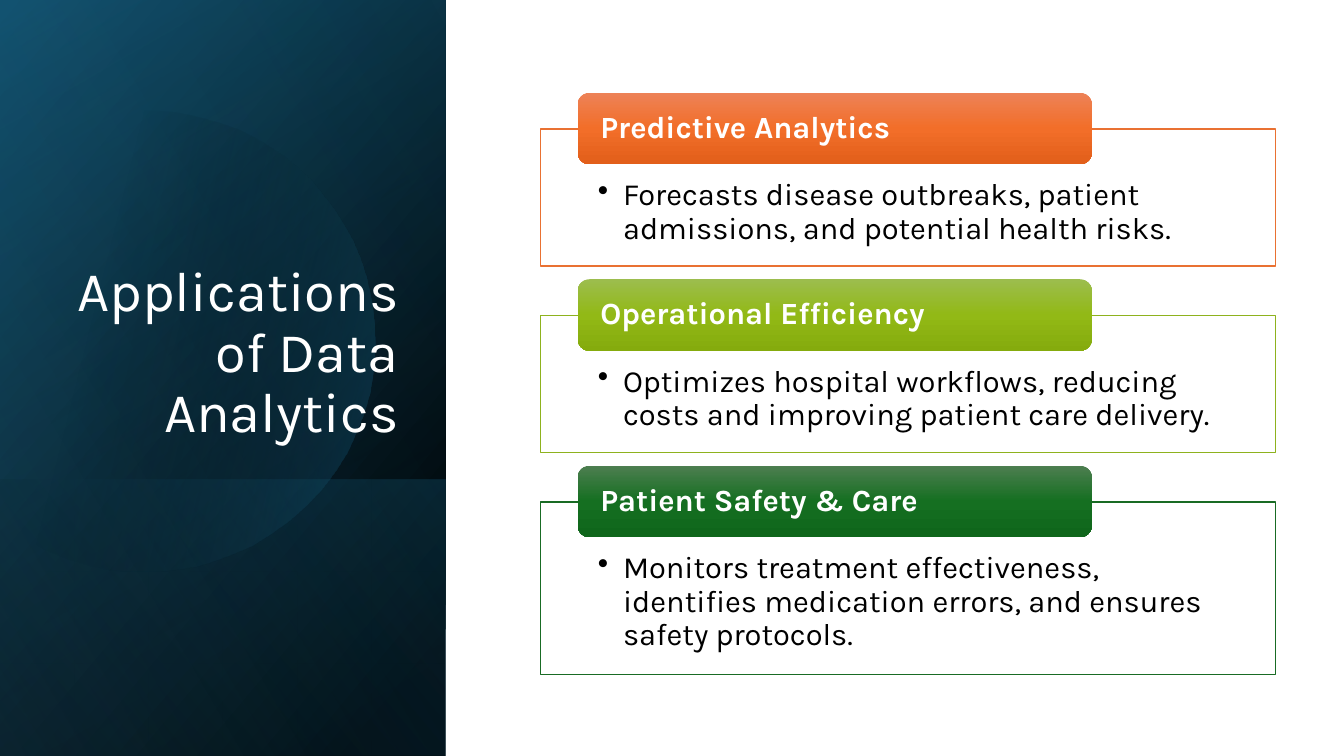
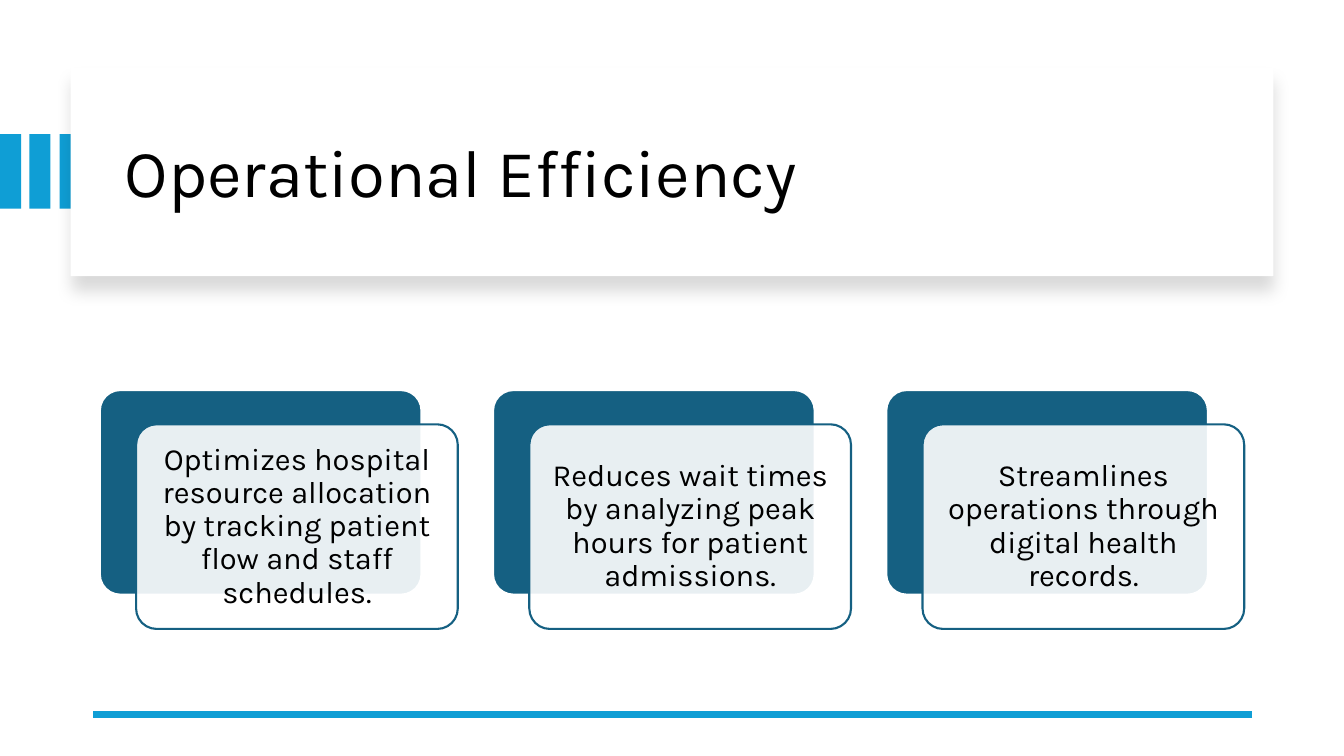
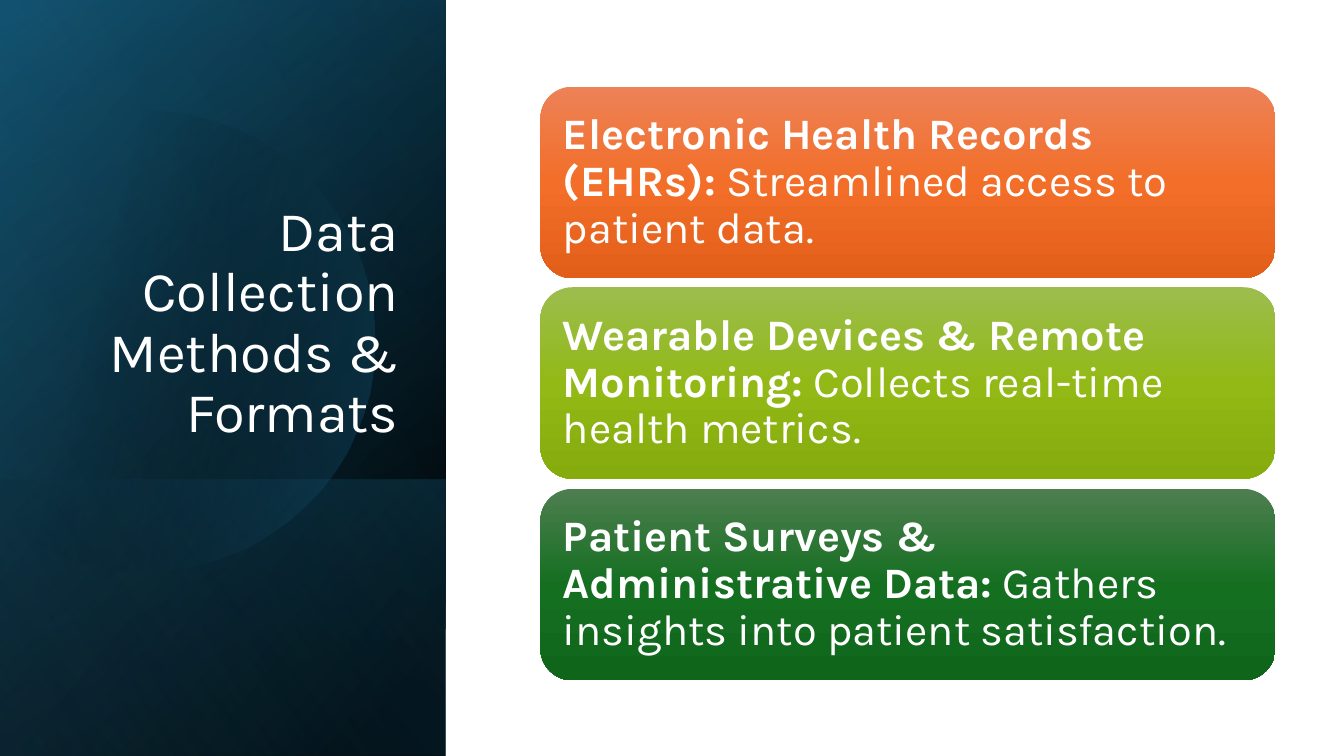
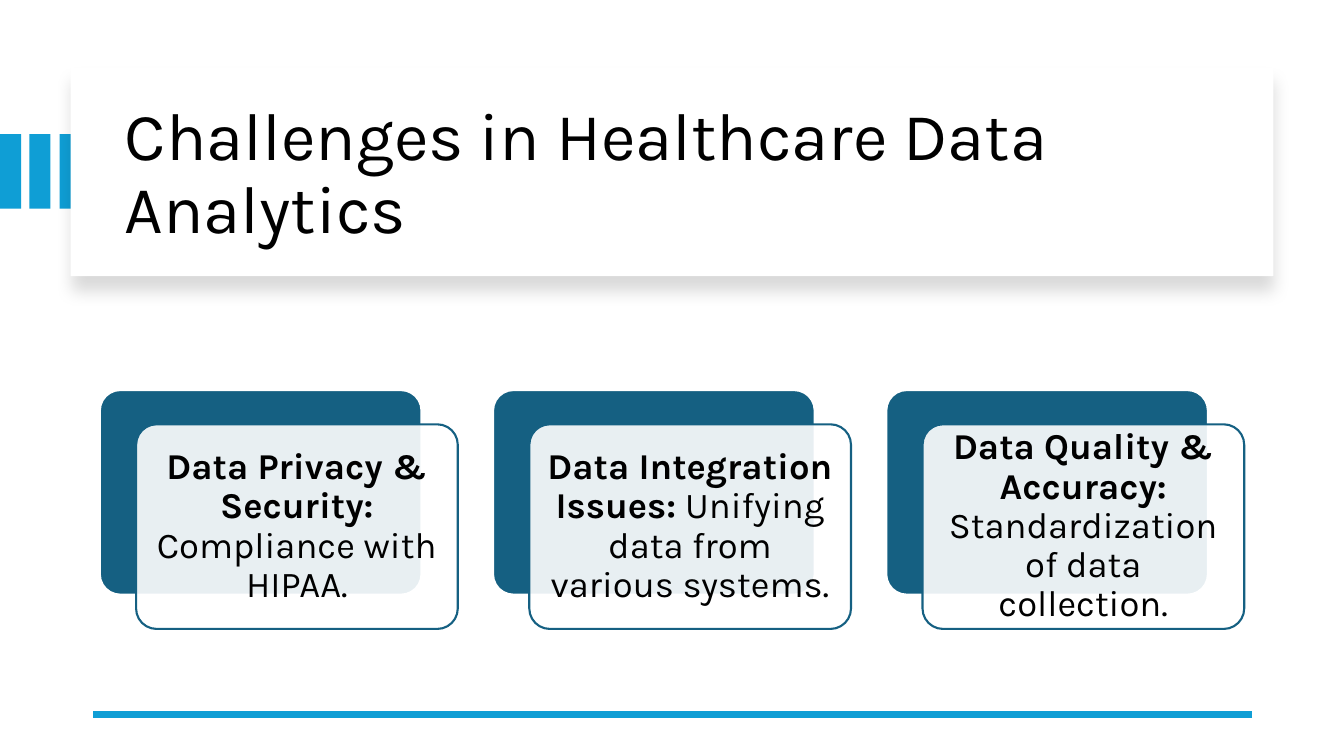
from dataclasses import dataclass

from pptx import Presentation
from pptx import util as u
from pptx.dml.color import RGBColor
from pptx.enum import shapes, text
from pptx.oxml import parse_xml
from pptx.oxml.ns import nsdecls, qn

EMU_PER_PX = 9144


@dataclass(frozen=True)
class Theme:
    """Colours, font and type sizes shared by all slides."""
    font: str = "Karla"
    white: str = "FFFFFF"
    black: str = "000000"
    navy: str = "104862"
    blue: str = "156082"
    sky: str = "46B1E1"
    accent: str = "0F9ED5"
    outlines: tuple = ("E97132", "8EB21E", "196B24")
    gradients: tuple = (
        ("ED8257", "F26E29", "E25F1A"),
        ("9CBD4E", "92B916", "85AB0D"),
        ("4D7E50", "156F21", "0F661B"),
    )
    side_title: int = 40
    wide_title: int = 48
    large: int = 31
    medium: int = 26
    body: int = 22


THEME = Theme()


def px(length):
    """Turn a length in px into EMU."""
    return u.Emu(length * EMU_PER_PX)


def rgb(colour):
    """Turn a hex string into a colour."""
    return RGBColor.from_string(colour)


def write_text(shape, content, *, size, colour, lead="", bold=False, align=text.PP_ALIGN.LEFT,
               anchor=text.MSO_ANCHOR.MIDDLE, insets=(10, 5, 10, 5), bullet=False):
    """Fill a shape with one paragraph, with an optional bold lead."""
    frame = shape.text_frame
    frame.word_wrap = True
    frame.vertical_anchor = anchor
    frame.margin_left, frame.margin_top, frame.margin_right, frame.margin_bottom = map(px, insets)
    paragraph = frame.paragraphs[0]
    paragraph.alignment = align
    paragraph.line_spacing = 0.9
    for words, is_bold in ((lead, True), (content, bold)):
        if words:
            run = paragraph.add_run()
            run.text = words
            run.font.name = THEME.font
            run.font.size = u.Pt(size)
            run.font.bold = is_bold
            run.font.color.rgb = rgb(colour)
    if bullet:
        properties = paragraph._p.get_or_add_pPr()
        properties.set("marL", str(px(25)))
        properties.set("indent", str(px(-25)))
        properties.append(parse_xml(f'<a:buChar {nsdecls("a")} char="•"/>'))


def set_gradient(shape, stops, angle):
    """Give a shape a linear gradient of (position, colour, opacity) stops."""
    stop_xml = "".join(
        f'<a:gs pos="{position * 1000}"><a:srgbClr val="{colour}">'
        f'<a:alpha val="{opacity * 1000}"/></a:srgbClr></a:gs>'
        for position, colour, opacity in stops)
    gradient = parse_xml(
        f'<a:gradFill {nsdecls("a")} rotWithShape="1"><a:gsLst>{stop_xml}</a:gsLst>'
        f'<a:lin ang="{angle * 60000}" scaled="0"/></a:gradFill>')
    shape.fill.background()
    properties = shape._element.spPr
    properties.replace(properties.find(qn("a:noFill")), gradient)


def set_solid(shape, colour, opacity=100):
    """Give a shape a plain fill, translucent if asked."""
    shape.fill.solid()
    shape.fill.fore_color.rgb = rgb(colour)
    if opacity < 100:
        colour_element = shape._element.spPr.find(qn("a:solidFill"))[0]
        colour_element.append(parse_xml(f'<a:alpha {nsdecls("a")} val="{opacity * 1000}"/>'))


def add_box(slide, left, top, width, height, *, fill=None, opacity=100, line=None,
            line_width=1, rounded=False, corner=None):
    """Add a rectangle, rounded or square, without shadow."""
    kind = shapes.MSO_SHAPE.ROUNDED_RECTANGLE if rounded else shapes.MSO_SHAPE.RECTANGLE
    shape = slide.shapes.add_shape(kind, px(left), px(top), px(width), px(height))
    shape.shadow.inherit = False
    if corner:
        shape.adjustments[0] = corner
    if fill:
        set_solid(shape, fill, opacity)
    if line:
        shape.line.color.rgb = rgb(line)
        shape.line.width = u.Pt(line_width)
    else:
        shape.line.fill.background()
    return shape


def add_glossy_box(slide, left, top, width, height, colours):
    """Add a rounded box shaded from top to bottom."""
    shape = add_box(slide, left, top, width, height, rounded=True)
    set_gradient(shape, [(50 * i, colour, 100) for i, colour in enumerate(colours)], 90)
    return shape


def add_title(slide, content, left, top, width, height, **text_format):
    """Add the title text box."""
    box = slide.shapes.add_textbox(px(left), px(top), px(width), px(height))
    write_text(box, content, **text_format)


def add_side_layer(slide, top, height, stops, angle):
    """Add a quarter-turned gradient layer across the side band."""
    band_width = 442
    shape = add_box(slide, (band_width - height) // 2, top + (height - band_width) // 2,
                    height, band_width)
    shape.rotation = 90
    shape._element.spPr.get_or_add_xfrm().set("flipH", "1")
    set_gradient(shape, stops, angle)


def curve_points(start, first, second, end, steps=16):
    """List points along a cubic curve, without its start."""
    points = []
    for step in range(1, steps + 1):
        t = step / steps
        weights = ((1 - t) ** 3, 3 * t * (1 - t) ** 2, 3 * t ** 2 * (1 - t), t ** 3)
        points.append(tuple(sum(weight * point[axis] for weight, point
                                in zip(weights, (start, first, second, end)))
                            for axis in (0, 1)))
    return points


def add_side_disc(slide):
    """Add the soft disc cut off by the left edge."""
    start = (149, 110)
    curves = [
        ((246, 112), (335, 177), (363, 275)),
        ((398, 397), (328, 523), (207, 558)),
        ((131, 580), (53, 561), (0, 516)),
        ((0, 516), (0, 161), (0, 161)),
        ((23, 142), (50, 128), (80, 119)),
        ((103, 113), (126, 110), start),
    ]
    points, current = [], start
    for first, second, end in curves:
        points += curve_points(current, first, second, end)
        current = end
    builder = slide.shapes.build_freeform(*start, scale=EMU_PER_PX)
    disc = builder.add_line_segments(points, close=True).convert_to_shape()
    disc.shadow.inherit = False
    disc.line.fill.background()
    set_gradient(disc, [(29, THEME.black, 0), (100, THEME.blue, 43)], 14)


def add_side_band(slide, title):
    """Add the dark band on the left with its title."""
    black, blue = THEME.black, THEME.blue
    add_side_layer(slide, 0, 750, [(8, black, 100), (100, THEME.navy, 100)], 50)
    add_side_layer(slide, 0, 750, [(0, black, 0), (99, blue, 46)], 30)
    add_side_layer(slide, 476, 274, [(2, blue, 29), (100, black, 30)], 130)
    add_side_disc(slide)
    add_side_layer(slide, 0, 750, [(0, black, 0), (99, THEME.sky, 11)], 120)
    add_title(slide, title, 64, 184, 341, 262, size=THEME.side_title, colour=THEME.white,
              align=text.PP_ALIGN.RIGHT, anchor=text.MSO_ANCHOR.BOTTOM)


def add_title_panel(slide, title):
    """Add the raised title panel, its side bars and the bottom rule."""
    for i in range(3):
        add_box(slide, i * 59 // 2, 133, 21, 74, fill=THEME.accent)
    panel = add_box(slide, 70, 67, 1193, 207, fill=THEME.white)
    panel._element.spPr.find(qn("a:effectLst")).append(parse_xml(
        f'<a:outerShdw {nsdecls("a")} blurRad="{u.Pt(11)}" dist="{u.Pt(10)}" dir="5400000" '
        f'algn="t" rotWithShape="0"><a:srgbClr val="{THEME.black}"><a:alpha val="15000"/>'
        '</a:srgbClr></a:outerShdw>'))
    add_title(slide, title, 114, 89, 1113, 170, size=THEME.wide_title, colour=THEME.black)
    rule = slide.shapes.add_connector(shapes.MSO_CONNECTOR.STRAIGHT,
                                      px(1242), px(709), px(92), px(709))
    rule.line.color.rgb = rgb(THEME.accent)
    rule.line.width = u.Pt(4.5)
    rule._element.spPr.append(parse_xml(f'<a:effectLst {nsdecls("a")}/>'))


def add_tabbed_panels(slide, items):
    """Stack outlined panels, each with a coloured tab on its top edge."""
    for i, (heading, body, height) in enumerate(items):
        top = 128 + 185 * i
        panel = add_box(slide, 536, top, 729, height, fill=THEME.white, opacity=90,
                        line=THEME.outlines[i])
        write_text(panel, body, size=THEME.body, colour=THEME.black, bullet=True,
                   anchor=text.MSO_ANCHOR.TOP, insets=(57, 50, 57, 17))
        tab = add_glossy_box(slide, 573, top - 36, 510, 71, THEME.gradients[i])
        write_text(tab, heading, size=THEME.body, colour=THEME.white, bold=True,
                   insets=(19, 0, 19, 0))


def add_banners(slide, items):
    """Stack coloured banners with a bold lead."""
    for i, (lead, body) in enumerate(items):
        banner = add_glossy_box(slide, 536, 86 + i * 399 // 2, 729, 190, THEME.gradients[i])
        write_text(banner, body, lead=lead, size=THEME.large, colour=THEME.white,
                   insets=(13,) * 4)


def add_cards(slide, items, size, inset):
    """Set cards in a row, each over an offset dark backing."""
    for i, (lead, body) in enumerate(items):
        left, top = 99 + 390 * i, 387
        add_box(slide, left, top, 319, 203, fill=THEME.blue, line=THEME.white,
                line_width=1.5, rounded=True, corner=0.1)
        card = add_box(slide, left + 36, top + 34, 319, 203, fill=THEME.white, opacity=90,
                       line=THEME.blue, line_width=1.5, rounded=True, corner=0.1)
        write_text(card, body, lead=lead, size=size, colour=THEME.black,
                   align=text.PP_ALIGN.CENTER, insets=(inset,) * 4)


def main():
    """Build the four slides and save them."""
    presentation = Presentation()
    presentation.slide_width, presentation.slide_height = px(1333), px(750)
    blank = presentation.slide_layouts[6]

    slide = presentation.slides.add_slide(blank)
    add_side_band(slide, "Applications of Data Analytics")
    add_tabbed_panels(slide, [
        ("Predictive Analytics",
         "Forecasts disease outbreaks, patient admissions, and potential health risks.", 136),
        ("Operational Efficiency",
         "Optimizes hospital workflows, reducing costs and improving patient care delivery.", 136),
        ("Patient Safety & Care",
         "Monitors treatment effectiveness, identifies medication errors, "
         "and ensures safety protocols.", 171),
    ])

    slide = presentation.slides.add_slide(blank)
    add_title_panel(slide, "Operational Efficiency")
    add_cards(slide, [
        ("", "Optimizes hospital resource allocation by tracking patient flow "
             "and staff schedules."),
        ("", "Reduces wait times by analyzing peak hours for patient admissions."),
        ("", "Streamlines operations through digital health records."),
    ], THEME.body, 9)

    slide = presentation.slides.add_slide(blank)
    add_side_band(slide, "Data Collection Methods & Formats")
    add_banners(slide, [
        ("Electronic Health Records (EHRs):", " Streamlined access to patient data."),
        ("Wearable Devices & Remote Monitoring:", " Collects real-time health metrics."),
        ("Patient Surveys & Administrative Data:", " Gathers insights into patient satisfaction."),
    ])

    slide = presentation.slides.add_slide(blank)
    add_title_panel(slide, "Challenges in Healthcare Data Analytics")
    add_cards(slide, [
        ("Data Privacy & Security:", " Compliance with HIPAA."),
        ("Data Integration Issues:", " Unifying data from various systems."),
        ("Data Quality & Accuracy:", " Standardization of data collection."),
    ], THEME.medium, 11)

    presentation.save("out.pptx")


if __name__ == "__main__":
    main()
